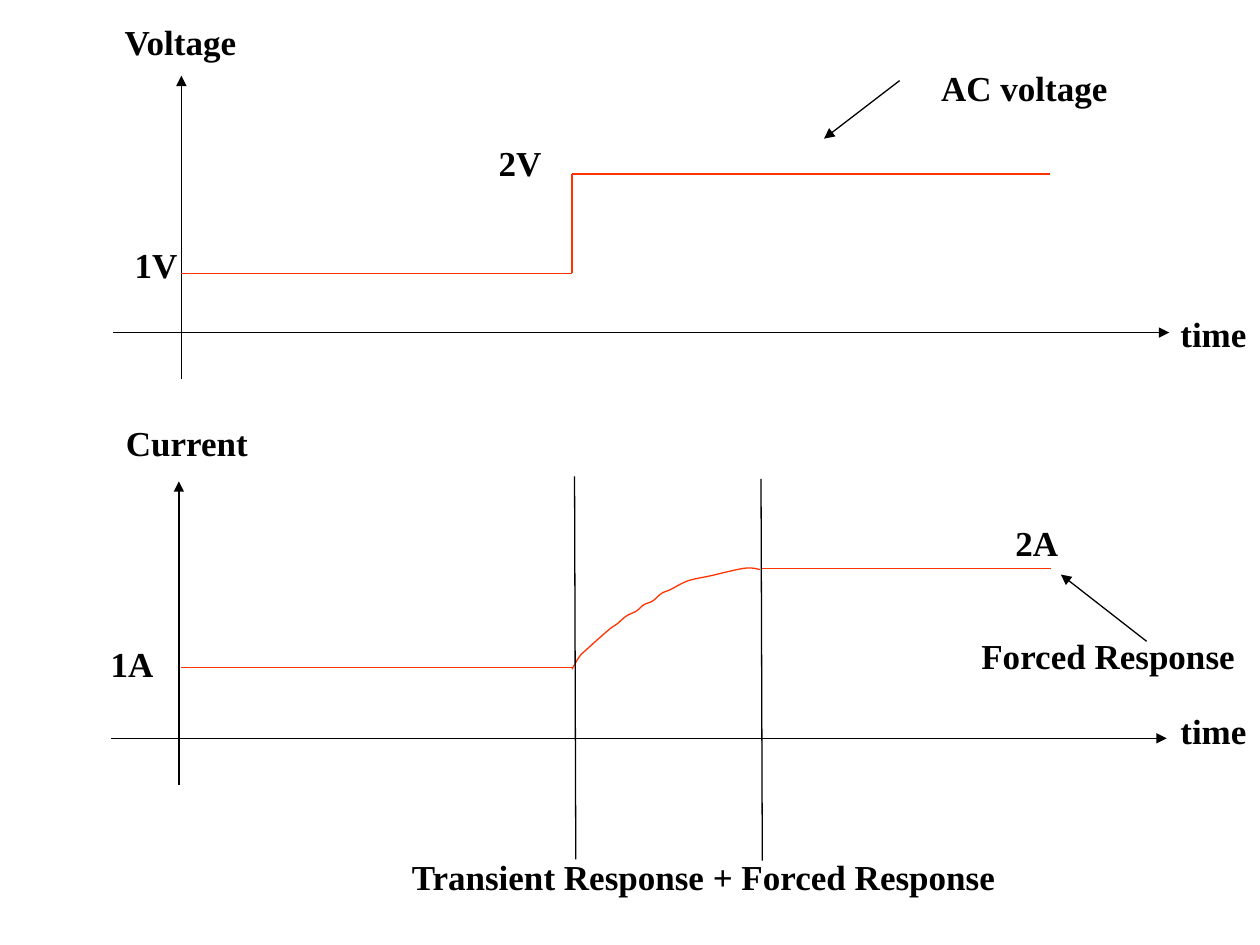
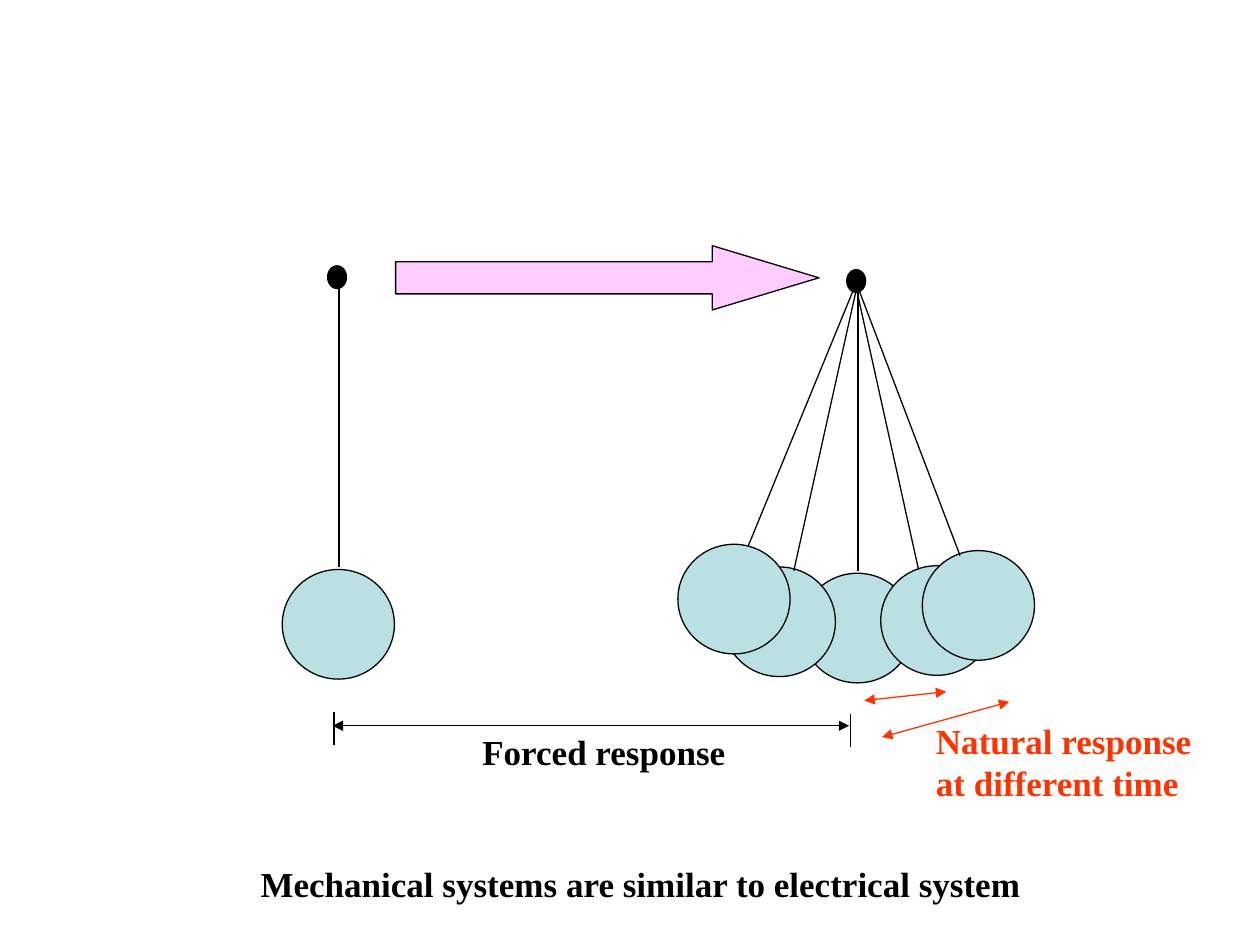
from dataclasses import dataclass
from itertools import pairwise

from lxml import etree
from pptx import Presentation, util as u
from pptx.dml.color import RGBColor
from pptx.enum import shapes, text
from pptx.oxml.ns import qn

COLORS = {"ink": "000000", "red": "FF3300", "bob": "BBE0E3", "pink": "FFCCFF"}
FONT = "Times New Roman"
SIZE = u.Pt(20)
WIDTH = u.Pt(0.75)
KINDS = shapes.MSO_SHAPE
STEPS = 6


@dataclass
class Line:
    x1: float
    y1: float
    x2: float
    y2: float
    color: str = "ink"
    head: bool = False
    tail: bool = False


@dataclass
class Label:
    words: str
    x: float
    y: float
    w: float
    h: float = 0.44
    color: str = "ink"


@dataclass
class Shape:
    kind: KINDS
    x: float
    y: float
    w: float
    h: float
    fill: str


def tint(name: str) -> RGBColor:
    return RGBColor.from_string(COLORS[name])


def stroke(item, color: str) -> None:
    item.line.color.rgb = tint(color)
    item.line.width = WIDTH


def draw_line(slide, line: Line) -> None:
    ends = map(u.Inches, (line.x1, line.y1, line.x2, line.y2))
    item = slide.shapes.add_connector(shapes.MSO_CONNECTOR.STRAIGHT, *ends)
    stroke(item, line.color)
    props = item._element.spPr
    pen = props.find(qn("a:ln"))
    for tag, shown in (("a:headEnd", line.head), ("a:tailEnd", line.tail)):
        if shown:
            etree.SubElement(pen, qn(tag), type="triangle")
    etree.SubElement(props, qn("a:effectLst"))


def draw_label(slide, label: Label) -> None:
    area = map(u.Inches, (label.x, label.y, label.w, label.h))
    frame = slide.shapes.add_textbox(*area).text_frame
    frame.word_wrap = False
    frame.auto_size = text.MSO_AUTO_SIZE.SHAPE_TO_FIT_TEXT
    frame.text = label.words
    for para in frame.paragraphs:
        para.font.name = FONT
        para.font.size = SIZE
        para.font.bold = True
        para.font.color.rgb = tint(label.color)


def draw_shape(slide, shape: Shape):
    area = map(u.Inches, (shape.x, shape.y, shape.w, shape.h))
    item = slide.shapes.add_shape(shape.kind, *area)
    item.shadow.inherit = False
    item.fill.solid()
    item.fill.fore_color.rgb = tint(shape.fill)
    stroke(item, "ink")
    return item


def blend(a: float, b: float, c: float, d: float, t: float) -> float:
    return b + t * (c - a + t * (2 * a - 5 * b + 4 * c - d + t * (3 * b - a - 3 * c + d))) / 2


def draw_curve(slide, knots: list[tuple[float, float]], color: str) -> None:
    padded = [knots[0], *knots, knots[-1]]
    dots = [
        tuple(u.Inches(blend(*axis, step / STEPS)) for axis in zip(*padded[i:i + 4]))
        for i in range(len(knots) - 1)
        for step in range(1, STEPS + 1)
    ]
    start = map(u.Inches, knots[0])
    pen = slide.shapes.build_freeform(*start)
    pen.add_line_segments(dots, close=False)
    item = pen.convert_to_shape()
    item.shadow.inherit = False
    item.fill.background()
    stroke(item, color)


def draw_axes(slide, x: float, y: float, time_y: float) -> None:
    draw_line(slide, Line(x, y + 0.37, x, y - 2.04, tail=True))
    draw_line(slide, Line(x - 0.54, y, x + 7.84, y, tail=True))
    draw_label(slide, Label("time", 9.27, time_y, 0.73))


def draw_bob(slide, x: float, y: float) -> None:
    draw_shape(slide, Shape(KINDS.OVAL, x, y, 0.89, 0.87, "bob"))


def draw_pivot(slide, x: float, y: float) -> None:
    draw_shape(slide, Shape(KINDS.OVAL, x, y, 0.15, 0.18, "ink"))


def build_graphs(slide) -> None:
    draw_axes(slide, 1.44, 2.64, 2.43)
    draw_axes(slide, 1.42, 5.86, 5.58)
    volts = [(1.44, 2.17), (4.54, 2.17), (4.54, 1.38), (8.33, 1.38)]
    for start, end in pairwise(volts):
        draw_line(slide, Line(*start, *end, "red"))
    draw_curve(slide, [
        (4.54, 5.31), (4.6, 5.21), (4.65, 5.16), (4.83, 5), (4.9, 4.95),
        (4.97, 4.89), (5.05, 4.85), (5.11, 4.8), (5.18, 4.77), (5.25, 4.71),
        (5.32, 4.68), (5.46, 4.61), (5.64, 4.57), (5.91, 4.51), (6.03, 4.52),
    ], "red")
    for line in (
        Line(1.44, 5.3, 4.55, 5.3, "red"),
        Line(6.05, 4.51, 8.34, 4.51, "red"),
        Line(9.1, 5.09, 8.42, 4.56, tail=True),
        Line(7.14, 0.64, 6.54, 1.1, tail=True),
        Line(4.56, 3.78, 4.57, 6.82),
        Line(6.04, 3.8, 6.05, 6.83),
    ):
        draw_line(slide, line)
    for label in (
        Label("Voltage", 0.89, 0.11, 1.12),
        Label("Current", 0.9, 3.3, 1.19),
        Label("1V", 0.97, 1.88, 0.54),
        Label("2V", 3.86, 1.07, 0.54),
        Label("1A", 0.78, 5.05, 0.54),
        Label("2A", 7.96, 4.09, 0.54),
        Label("AC voltage", 7.37, 0.48, 1.52),
        Label("Forced Response", 7.69, 4.99, 2.22),
        Label("Transient Response + Forced Response", 3.17, 6.74, 4.86),
    ):
        draw_label(slide, label)


def build_swing(slide) -> None:
    arrow = draw_shape(slide, Shape(KINDS.RIGHT_ARROW, 3.14, 1.95, 3.36, 0.51, "pink"))
    arrow.adjustments[1] = 1.66
    bobs = [(2.24, 4.52), (6.36, 4.55), (6.99, 4.49), (5.74, 4.5), (7.32, 4.37), (5.38, 4.32)]
    for x, y in bobs:
        draw_bob(slide, x, y)
    for line in (
        Line(2.69, 4.5, 2.69, 2.23),
        Line(6.81, 4.53, 6.81, 2.26),
        Line(6.8, 2.28, 6.3, 4.53),
        Line(6.79, 2.26, 5.94, 4.33),
        Line(6.79, 2.26, 7.29, 4.52),
        Line(6.79, 2.23, 7.62, 4.41),
        Line(2.64, 5.76, 6.74, 5.76, head=True, tail=True),
        Line(2.65, 5.65, 2.65, 5.91),
        Line(6.75, 5.67, 6.75, 5.93),
        Line(6.86, 5.56, 7.51, 5.49, "red", True, True),
        Line(7, 5.85, 8.01, 5.57, "red", True, True),
    ):
        draw_line(slide, line)
    draw_pivot(slide, 2.6, 2.11)
    draw_pivot(slide, 6.72, 2.14)
    for label in (
        Label("Forced response", 3.73, 5.75, 2.14),
        Label("Natural response\nat different time", 7.33, 5.66, 2.23, 0.77, "red"),
        Label("Mechanical systems are similar to electrical system", 1.97, 6.8, 6.24),
    ):
        draw_label(slide, label)


deck = Presentation()
deck.slide_width = u.Inches(10)
deck.slide_height = u.Inches(7.5)
for build in (build_graphs, build_swing):
    build(deck.slides.add_slide(deck.slide_layouts[6]))
deck.save("out.pptx")
